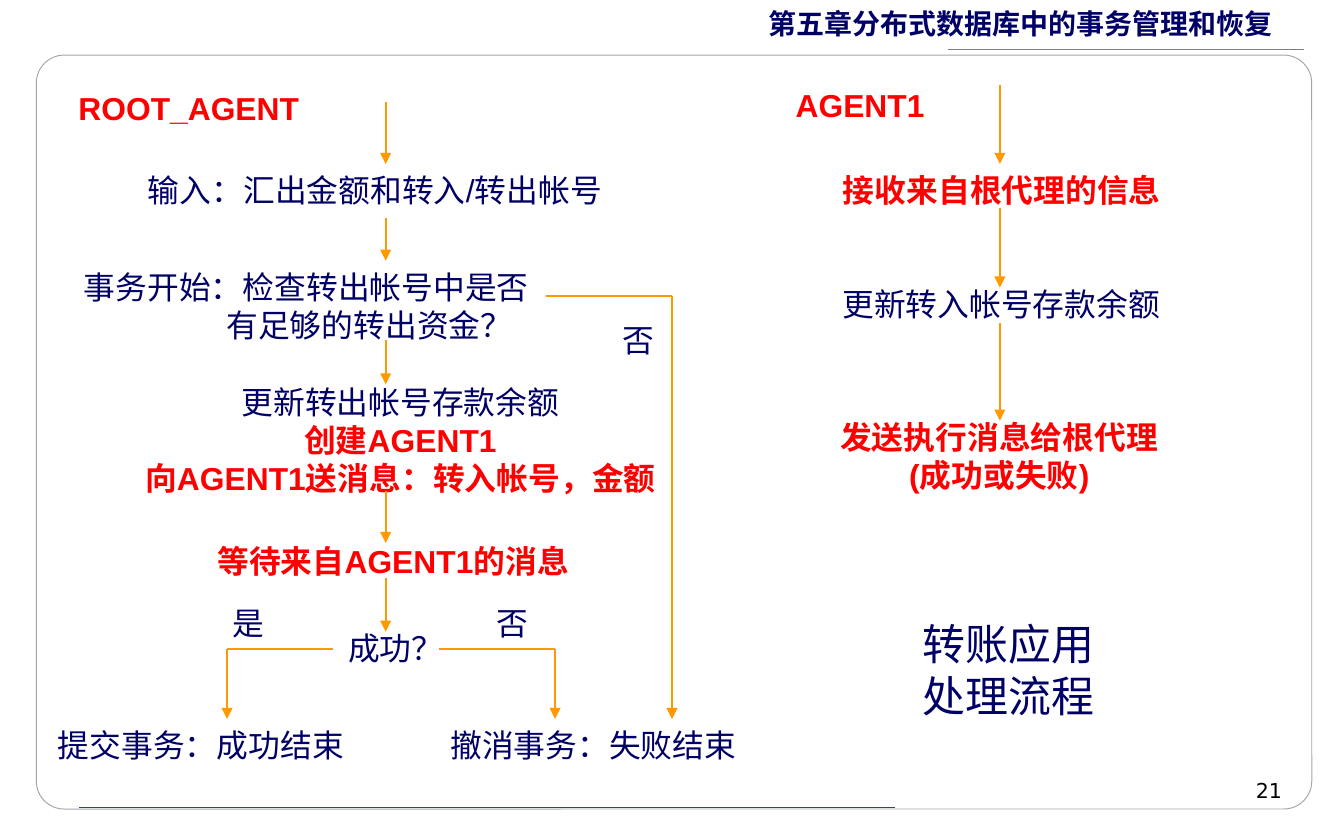
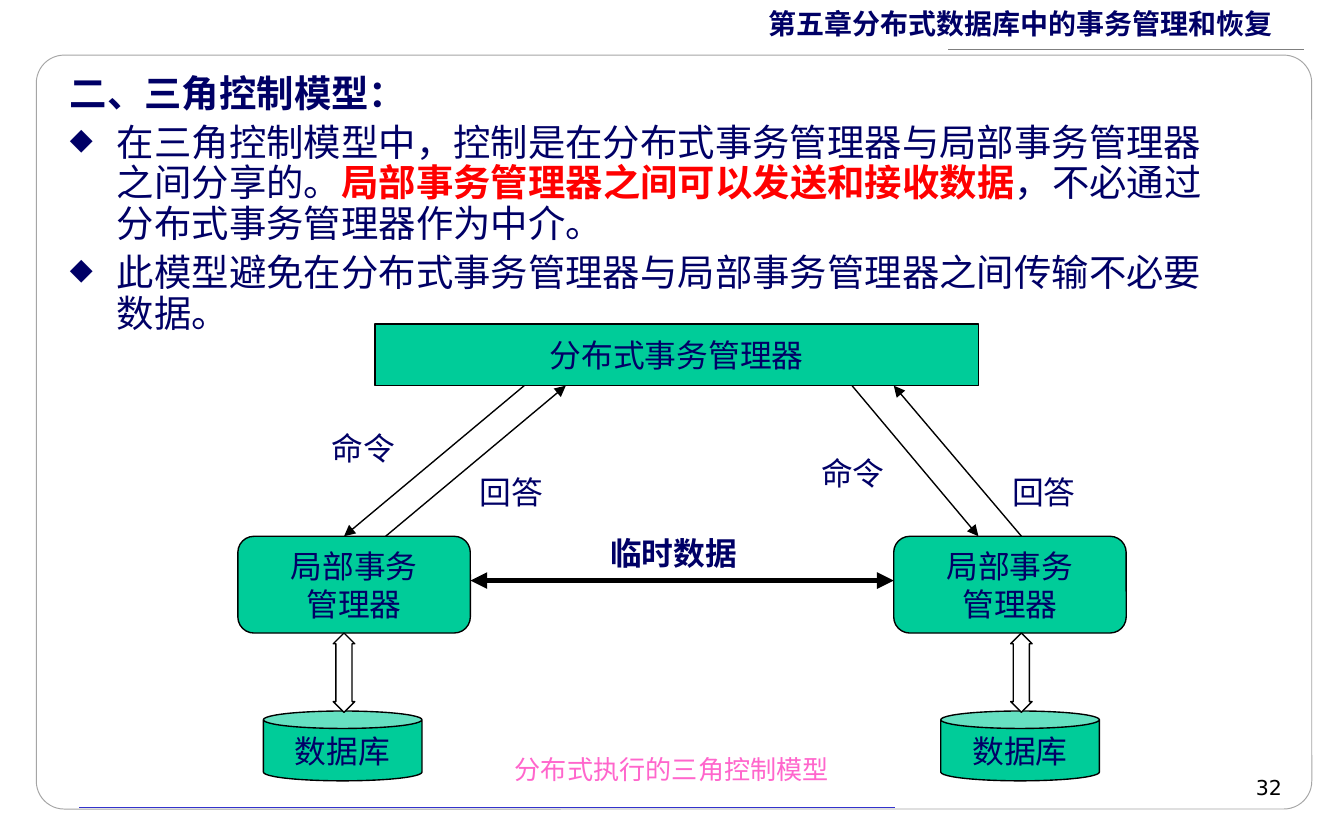
import pptx
import pptx.dml.color
import pptx.enum.shapes
import pptx.enum.text
import pptx.oxml.ns
import pptx.util
from lxml import etree

PX = 9144
NAVY, RED, ORANGE, GREEN = "000066", "FF0000", "FF9900", "00CC99"
BLACK, WHITE, PINK = "000000", "FFFFFF", "FF66CC"
EAST_ASIAN = "Noto Sans CJK SC"
SHAPE = pptx.enum.shapes.MSO_SHAPE
ALIGN = pptx.enum.text.PP_ALIGN
ANCHOR = pptx.enum.text.MSO_ANCHOR
AUTO = pptx.enum.text.MSO_AUTO_SIZE
qn = pptx.oxml.ns.qn


def px(n):
    return pptx.util.Emu(n * PX)


def rgb(value):
    return pptx.dml.color.RGBColor.from_string(value)


def child(parent, tag, **attrs):
    return etree.SubElement(parent, qn(tag), attrs)


class Deck:
    def __init__(self):
        self.prs = pptx.Presentation()
        self.prs.slide_width, self.prs.slide_height = px(1000), px(625)
        self.s = None

    def slide(self, number, number_top):
        self.s = self.prs.slides.add_slide(self.prs.slide_layouts[5])
        self.header()
        frame = self.shape(SHAPE.ROUNDED_RECTANGLE, (27, 41, 949, 561), WHITE, "A5A5A5", 0.5, adj=(0.037,))
        white = frame._element.spPr.find(qn("a:solidFill")).find(qn("a:srgbClr"))
        child(white, "a:alpha", val="85000")
        self.line((59, 601), (666, 601), "3333CC", 0.25)
        self.line((970, 37), (705, 37), "7F7F7F", 0.75)
        self.text((713, number_top, 250, 28), [number], BLACK, 11, font="DejaVu Sans",
                  align=ALIGN.RIGHT, wrap=True, grow=False)

    def header(self):
        sp = self.s.shapes.title
        sp.left, sp.top, sp.width, sp.height = map(px, (563, 3, 437, 32))
        tf = self.frame(sp, True, ANCHOR.TOP)
        p = tf.paragraphs[0]
        p.alignment, p.line_spacing = ALIGN.LEFT, 0.9
        self.run(p, "第五章", NAVY, 15, True, EAST_ASIAN)
        self.run(p, "分布式数据库中的事务管理和恢复", NAVY, 15, True, "Times New Roman")

    def frame(self, sp, wrap, anchor, grow=False):
        tf = sp.text_frame
        tf.word_wrap = wrap
        tf.auto_size = AUTO.SHAPE_TO_FIT_TEXT if grow else AUTO.NONE
        tf.vertical_anchor = anchor
        tf.margin_left = tf.margin_right = px(9)
        tf.margin_top = tf.margin_bottom = px(5)
        return tf

    def run(self, p, text, color, size, bold, font):
        r = p.add_run()
        r.text = text
        r.font.size, r.font.bold, r.font.name = pptx.util.Pt(size), bold, font
        r.font.color.rgb = rgb(color)
        child(r._r.get_or_add_rPr(), "a:ea", typeface=EAST_ASIAN)

    def paragraphs(self, tf, lines, color, size, bold, font, align):
        for i, line in enumerate(lines):
            p = tf.add_paragraph() if i else tf.paragraphs[0]
            p.alignment = align
            for run in [(line, color, bold)] if isinstance(line, str) else line:
                self.run(p, run[0], run[1], size, run[2], font)

    def text(self, box, lines, color=NAVY, size=17, bold=False, font="Arial",
             align=ALIGN.CENTER, wrap=False, grow=True):
        sp = self.s.shapes.add_textbox(*map(px, box))
        tf = self.frame(sp, wrap, ANCHOR.TOP, grow)
        self.paragraphs(tf, lines, color, size, bold, font, align)
        return tf

    def shape(self, kind, box, fill, line=BLACK, width=0.75, lines=(), adj=()):
        sp = self.s.shapes.add_shape(kind, *map(px, box))
        sp.shadow.inherit = False
        sp.fill.solid()
        sp.fill.fore_color.rgb = rgb(fill)
        sp.line.color.rgb = rgb(line)
        sp.line.width = pptx.util.Pt(width)
        for i, value in enumerate(adj):
            sp.adjustments[i] = value
        if lines:
            tf = self.frame(sp, False, ANCHOR.MIDDLE)
            self.paragraphs(tf, lines, NAVY, 17, False, "Arial", ALIGN.CENTER)
        return sp

    def line(self, start, end, color, width, ends=()):
        sp = self.s.shapes.add_connector(
            pptx.enum.shapes.MSO_CONNECTOR.STRAIGHT, *map(px, start + end))
        sp.line.color.rgb = rgb(color)
        sp.line.width = pptx.util.Pt(width)
        spPr = sp._element.spPr
        for tag in ends:
            child(spPr.find(qn("a:ln")), tag, type="triangle")
        child(spPr, "a:effectLst")

    def arrow(self, start, end, color=BLACK, width=0.75):
        self.line(start, end, color, width, ("a:tailEnd",))

    def bullet(self, p):
        pPr = p._p.get_or_add_pPr()
        child(child(pPr, "a:buClr"), "a:srgbClr", val=NAVY)
        child(pPr, "a:buSzPct", val="80000")
        child(pPr, "a:buChar", char="◆")

    def indent(self, p, left, first=0):
        pPr = p._p.get_or_add_pPr()
        pPr.set("marL", str(px(left)))
        pPr.set("indent", str(px(first)))


def transfer_flow(d):
    d.slide("21", 574)
    for box, line in [
        ((92, 122, 374, 38), "输入：汇出金额和转入/转出帐号"),
        ((250, 463, 89, 38), "成功？"),
        ((29, 535, 241, 38), "提交事务：成功结束"),
        ((321, 535, 241, 38), "撤消事务：失败结束"),
        ((610, 207, 270, 38), "更新转入帐号存款余额"),
        ((164, 444, 42, 38), "是"),
        ((360, 444, 42, 38), "否"),
        ((454, 234, 42, 38), "否"),
    ]:
        d.text(box, [line])
    for box, lines in [
        ((142, 398, 301, 38), ["等待来自AGENT1的消息"]),
        ((49, 61, 183, 38), ["ROOT_AGENT"]),
        ((577, 59, 126, 38), ["AGENT1"]),
        ((615, 122, 261, 38), ["接收来自根代理的信息"]),
        ((613, 306, 261, 66), ["发送执行消息给根代理", "(成功或失败)"]),
    ]:
        d.text(box, lines, RED, bold=True)
    tf = d.text((53, 194, 350, 66), ["事务开始：检查转出帐号中是否", "有足够的转出资金？"], wrap=True)
    d.indent(tf.paragraphs[1], 94)
    d.text((90, 280, 416, 95), ["更新转出帐号存款余额",
                                [("创建AGENT1", RED, True)],
                                [("向AGENT1送消息：转入帐号，金额", RED, True)]])
    d.text((660, 455, 181, 86), ["转账应用 处理流程"], size=23, wrap=True)

    root, agent = 287, 744
    for x, top, bottom in [
        (root, 76, 122), (root, 162, 194), (root, 253, 286), (root, 365, 404), (root, 430, 470),
        (agent, 63, 122), (agent, 155, 214), (agent, 240, 313),
        (500, 220, 535), (169, 483, 535), (413, 483, 535),
    ]:
        d.arrow((x, top), (x, bottom), ORANGE, 1.25)
    for left, right, y in [(406, 500, 220), (169, 248, 483), (327, 413, 483)]:
        d.line((left, y), (right, y), ORANGE, 1.25)


def triangle_model(d):
    d.slide("32", 572)
    d.shape(SHAPE.RECTANGLE, (279, 241, 449, 46), GREEN, lines=["分布式事务管理器"])
    for manager, database, link in [(177, 196, 248), (665, 700, 752)]:
        d.shape(SHAPE.ROUNDED_RECTANGLE, (manager, 399, 173, 72), GREEN,
                lines=["局部事务", "管理器"], adj=(0.167,))
        d.shape(SHAPE.CAN, (database, 529, 118, 52), GREEN, lines=["数据库"], adj=(0.25,))
        d.shape(SHAPE.UP_DOWN_ARROW, (link, 471, 16, 59), WHITE, adj=(0.5, 0.75))
    for start, end in [((287, 399), (421, 287)), ((390, 287), (256, 399)),
                       ((634, 287), (728, 399)), ((760, 399), (665, 287))]:
        d.arrow(start, end)
    d.line((350, 432), (665, 432), BLACK, 3, ("a:headEnd", "a:tailEnd"))
    for left, top, label in [(238, 314, "命令"), (602, 333, "命令"),
                             (348, 347, "回答"), (744, 347, "回答")]:
        d.text((left, top, 66, 38), [label], align=ALIGN.LEFT)
    d.text((445, 392, 113, 38), ["临时数据"], bold=True, align=ALIGN.LEFT)
    d.text((374, 556, 268, 33), ["分布式执行的三角控制模型"], PINK, 14, align=ALIGN.LEFT, wrap=True)

    tf = d.text((43, 54, 937, 203), [
        [("二、三角控制模型：", NAVY, True)],
        [("在三角控制模型中，控制是在分布式事务管理器与局部事务管理器之间分享的。", NAVY, False),
         ("局部事务管理器之间可以发送和接收数据", RED, True),
         ("，不必通过分布式事务管理器作为中介。", NAVY, False)],
        "此模型避免在分布式事务管理器与局部事务管理器之间传输不必要数据。",
    ], size=20, font="Times New Roman", align=ALIGN.LEFT, wrap=True, grow=False)
    tf.margin_right = px(76)
    for i, p in enumerate(tf.paragraphs):
        d.indent(p, 35, -35)
        if i:
            d.bullet(p)
            p.space_before = pptx.util.Pt(5)
        p.line_spacing = 0.9 if i else 0.8


def main():
    d = Deck()
    transfer_flow(d)
    triangle_model(d)
    d.prs.save("out.pptx")


if __name__ == "__main__":
    main()
